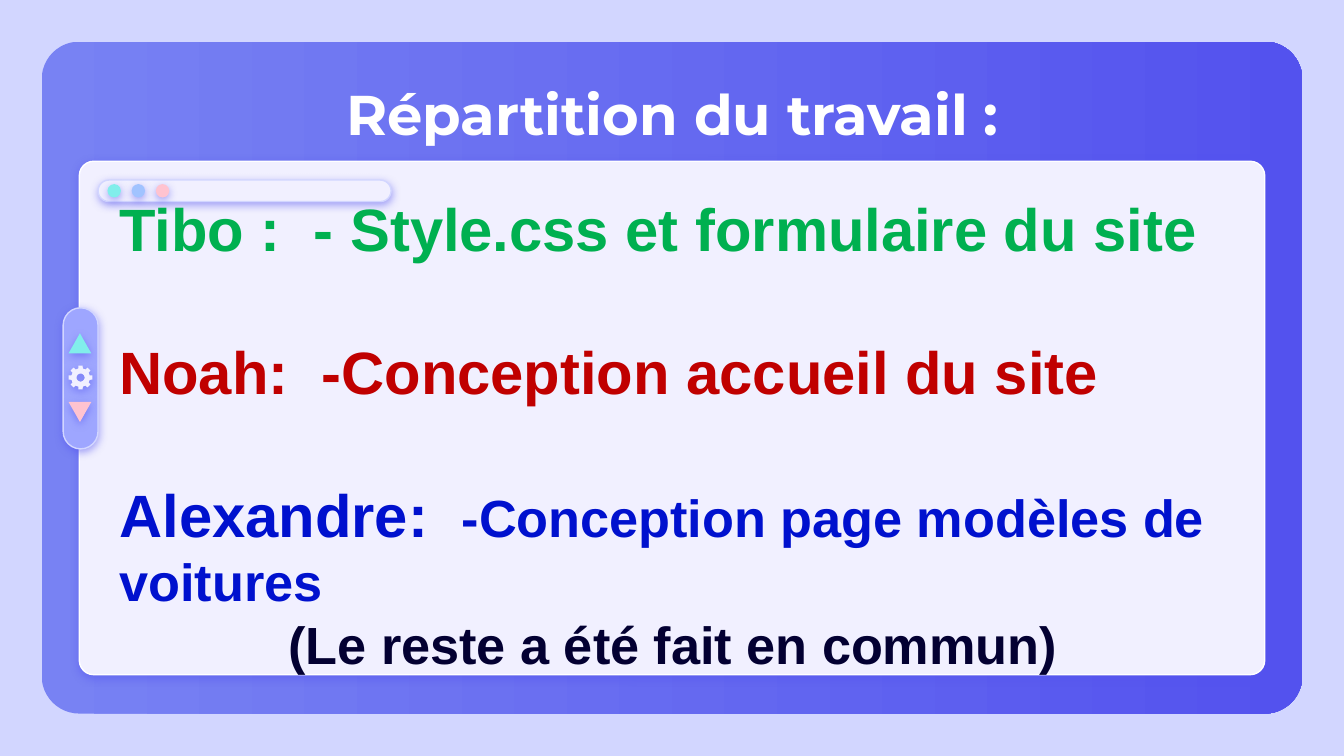
import math
import pptx
import pptx.util
import pptx.dml.color
import pptx.enum.shapes
import pptx.enum.text
import pptx.oxml
import pptx.oxml.ns

Inches = pptx.util.Inches
Pt = pptx.util.Pt
SHAPE = pptx.enum.shapes.MSO_SHAPE
ALIGN = pptx.enum.text.PP_ALIGN
ANCHOR = pptx.enum.text.MSO_ANCHOR
AQUA, SKY, PINK, PALE = "81EEEB", "A1C3FF", "FFC3D0", "F1F0FF"
VIOLET, LAVENDER = "5352EE", "D2D6FF"


def rgb(value):
    return pptx.dml.color.RGBColor.from_string(value)


def add_shadow(sp):
    sp.shadow.inherit = False
    effects = sp._element.spPr.find(pptx.oxml.ns.qn("a:effectLst"))
    effects.append(pptx.oxml.parse_xml(
        f'<a:outerShdw {pptx.oxml.ns.nsdecls("a")} blurRad="{Pt(4.5)}" '
        f'dist="{Pt(1.5)}" dir="5400000" algn="bl" rotWithShape="0">'
        f'<a:srgbClr val="{VIOLET}"><a:alpha val="50000"/></a:srgbClr>'
        '</a:outerShdw>'))


def paint(sp, fill, line=None):
    sp.fill.solid()
    sp.fill.fore_color.rgb = rgb(fill)
    if line:
        sp.line.color.rgb = rgb(line)
        sp.line.width = Pt(0.75)
    else:
        sp.line.fill.background()
    add_shadow(sp)


def add_shape(s, kind, box, fill, line=None, corner=None):
    sp = s.shapes.add_shape(kind, *map(Inches, box))
    if corner is not None:
        sp.adjustments[0] = corner
    paint(sp, fill, line)
    return sp


def add_backdrop(s):
    sp = s.shapes.add_shape(SHAPE.ROUNDED_RECTANGLE,
                            *map(Inches, (0.31, 0.31, 9.38, 5)))
    sp.adjustments[0] = 0.056
    sp.shadow.inherit = False
    sp.line.fill.background()
    sp.fill.gradient()
    sp.fill.gradient_angle = 0
    for stop, color in zip(sp.fill.gradient_stops, ("7882F3", VIOLET)):
        stop.color.rgb = rgb(color)


def add_gear(s, cx, cy):
    def point(radius, degrees):
        a = math.radians(degrees)
        return Inches(cx + radius * math.cos(a)), Inches(cy + radius * math.sin(a))

    rim = [point(radius, 45 * tooth + offset) for tooth in range(8)
           for radius, offset in ((0.07, -14), (0.09, -10), (0.09, 10), (0.07, 14))]
    hole = [point(0.03, -15 * i) for i in range(24)]
    fb = s.shapes.build_freeform(*rim[0], scale=1.0)
    fb.add_line_segments(rim[1:], close=True)
    fb.move_to(*hole[0])
    fb.add_line_segments(hole[1:], close=True)
    paint(fb.convert_to_shape(), PALE)


def add_text(s, box, font, paragraphs, anchor=ANCHOR.TOP):
    tf = s.shapes.add_textbox(*map(Inches, box)).text_frame
    tf.word_wrap = True
    tf.vertical_anchor = anchor
    tf.margin_left = tf.margin_right = tf.margin_top = tf.margin_bottom = Inches(0.1)
    for i, (align, before, runs) in enumerate(paragraphs):
        p = tf.add_paragraph() if i else tf.paragraphs[0]
        p.alignment = align
        p.space_before = Pt(before)
        for text, size, color in runs:
            r = p.add_run()
            r.text = text
            r.font.name = font
            r.font.size = Pt(size)
            r.font.bold = True
            r.font.color.rgb = rgb(color)


def add_window(s):
    add_shape(s, SHAPE.ROUNDED_RECTANGLE, (0.59, 1.2, 8.82, 3.82), PALE, "FFFFFF", 0.028)
    add_shape(s, SHAPE.ROUNDED_RECTANGLE, (0.73, 1.34, 2.18, 0.16), PALE, LAVENDER, 0.5)
    for i, color in enumerate((AQUA, SKY, PINK)):
        add_shape(s, SHAPE.OVAL, (0.8 + 0.18 * i, 1.37, 0.1, 0.1), color)


def add_scroll_bar(s):
    add_shape(s, SHAPE.ROUNDED_RECTANGLE, (0.47, 2.29, 0.26, 1.05), "9EA6FF", LAVENDER, 0.5)
    add_shape(s, SHAPE.ISOSCELES_TRIANGLE, (0.51, 2.48, 0.17, 0.15), AQUA)
    down = add_shape(s, SHAPE.ISOSCELES_TRIANGLE, (0.51, 2.99, 0.17, 0.15), PINK)
    down.rotation = 180
    add_gear(s, 0.6, 2.81)


def main():
    prs = pptx.Presentation()
    prs.slide_width = Inches(10)
    prs.slide_height = prs.slide_width * 9 // 16
    s = prs.slides.add_slide(prs.slide_layouts[6])
    s.background.fill.solid()
    s.background.fill.fore_color.rgb = rgb(LAVENDER)
    add_backdrop(s)
    add_window(s)
    add_text(s, (0.79, 0.49, 8.43, 0.63), "Montserrat",
             [(ALIGN.CENTER, 0, [("Répartition du travail :", 30, "FFFFFF")])])
    add_text(s, (0.79, 1.58, 8.43, 3.29), "Arial", [
        (ALIGN.LEFT, 0, [("Tibo :  - Style.css et formulaire du site ", 32, "00B050")]),
        (ALIGN.LEFT, 38.3, [("Noah:  -Conception accueil du site ", 32, "C00000")]),
        (ALIGN.LEFT, 38.3, [("Alexandre:  ", 32, "0011CE"),
                            ("-Conception page modèles de voitures ", 28, "0011CE")]),
        (ALIGN.CENTER, 0, [("(Le reste a été fait en commun)", 28, "030032")]),
    ], ANCHOR.MIDDLE)
    add_scroll_bar(s)
    prs.save("out.pptx")


main()
